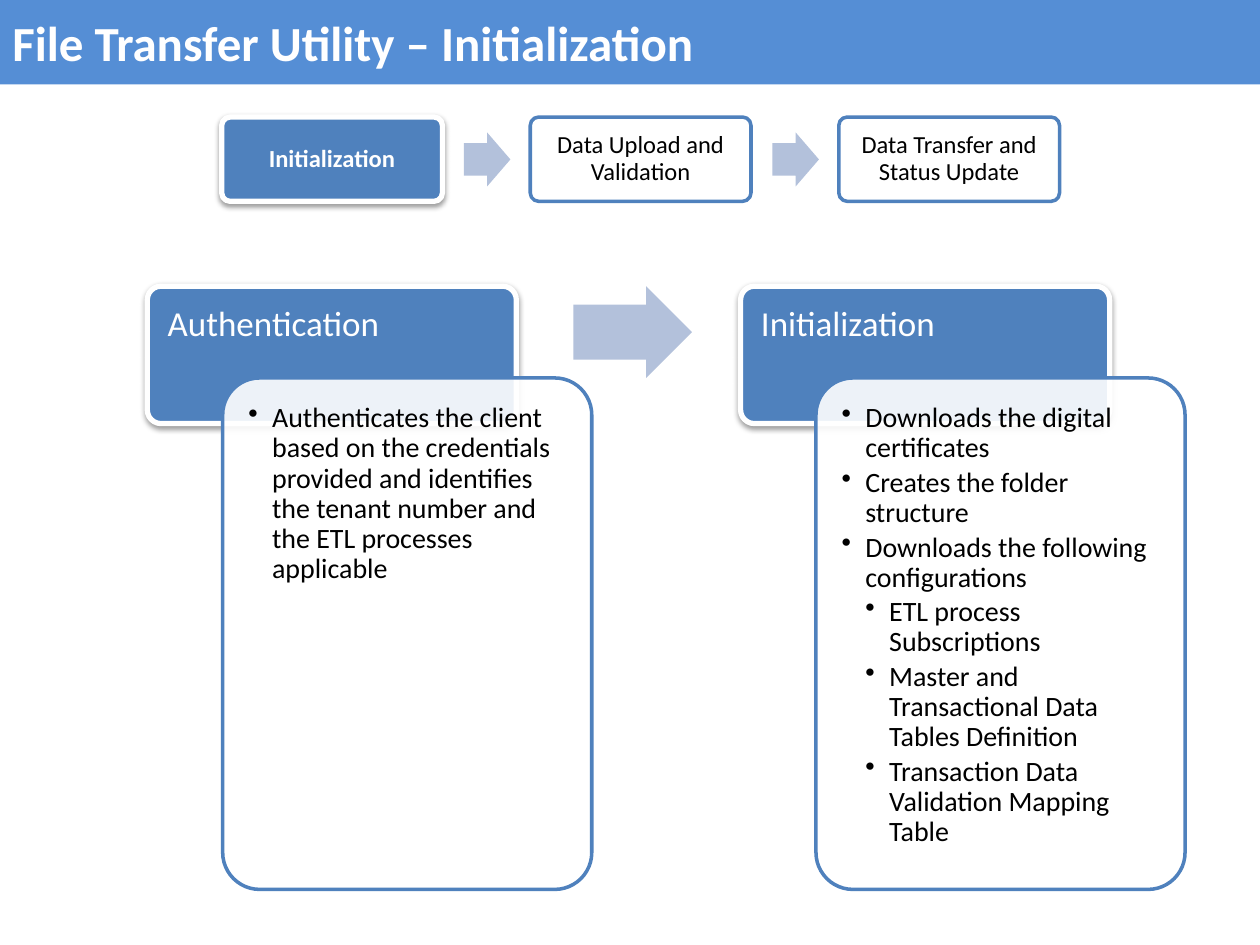
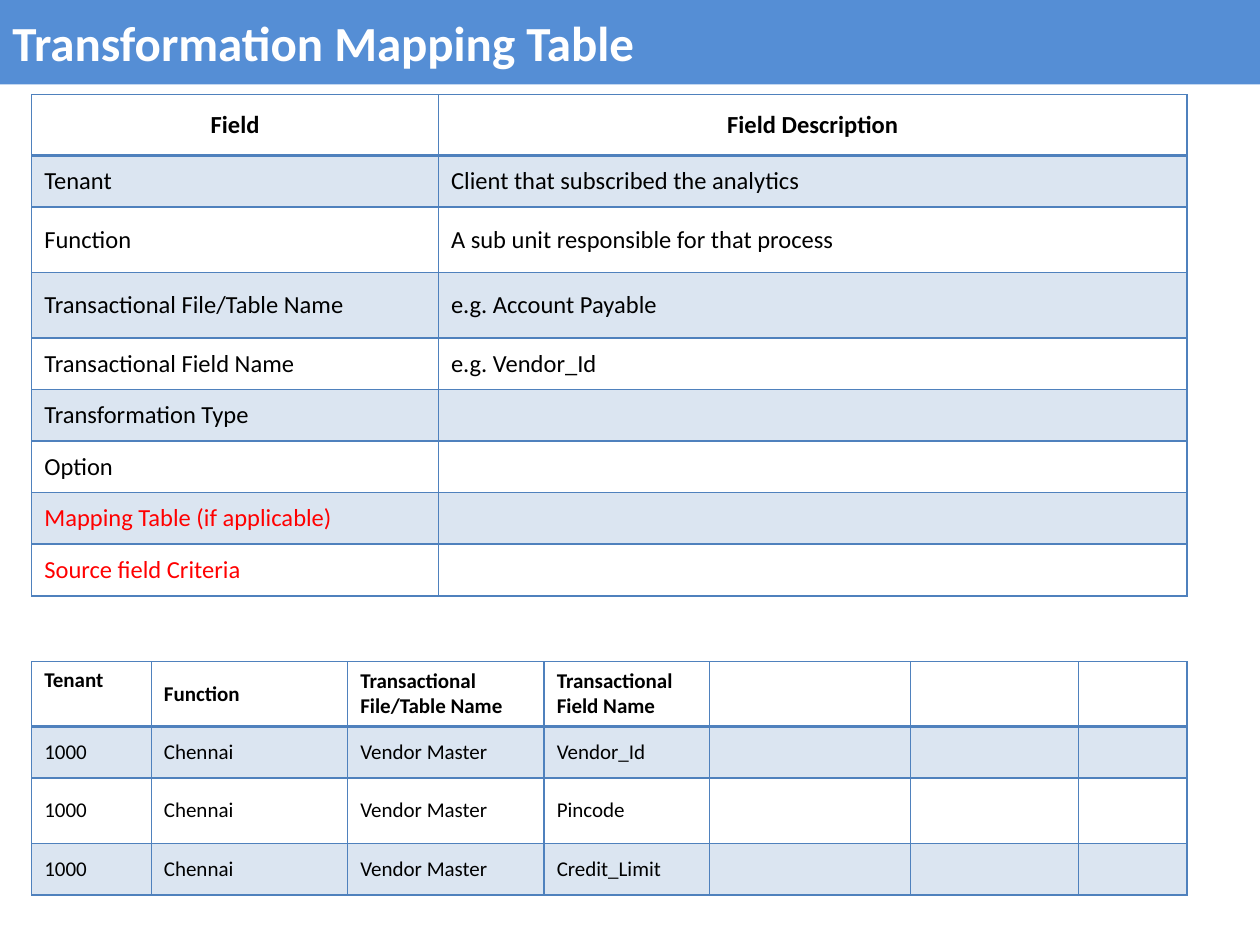
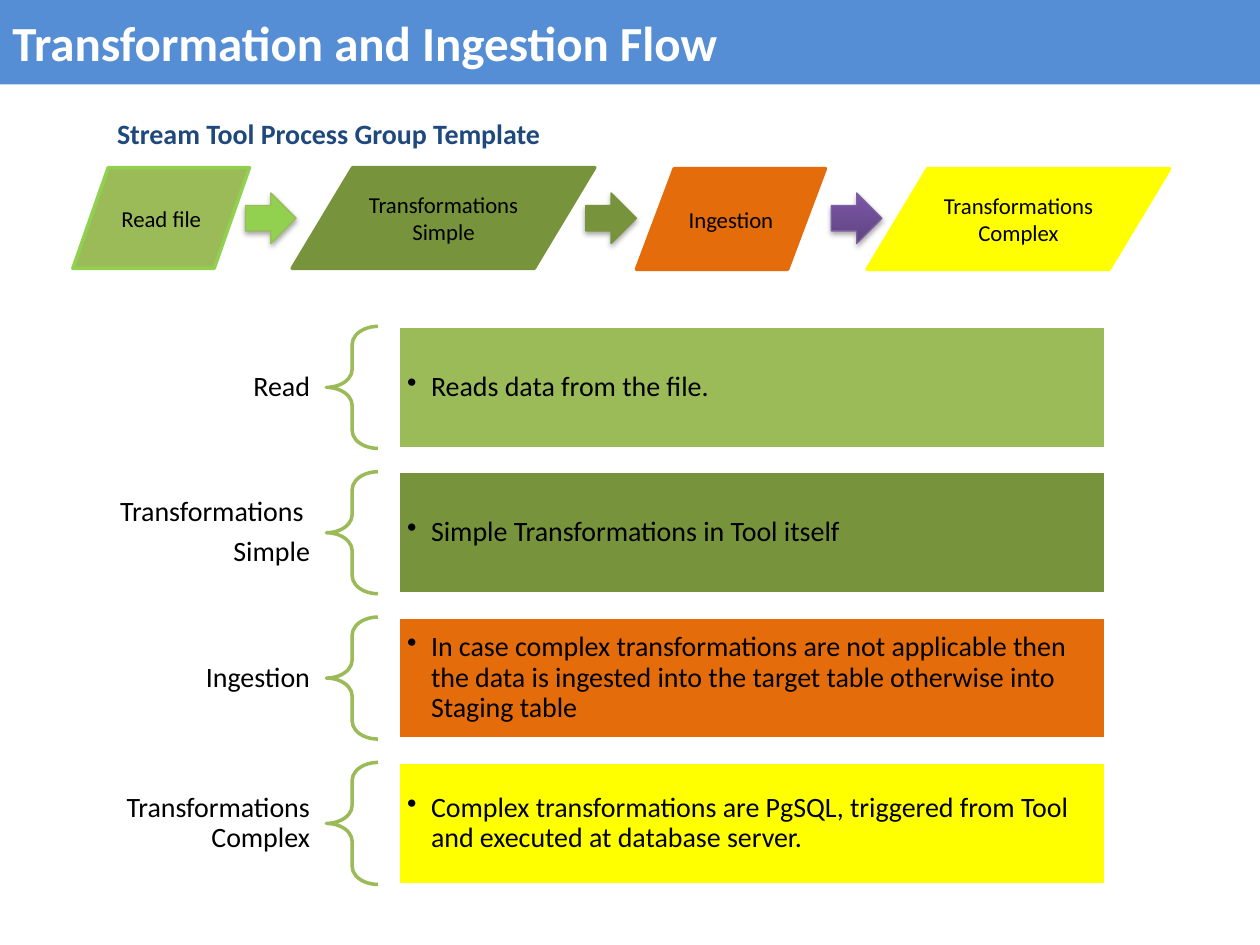
import dataclasses

import lxml.etree
import pptx
import pptx.dml.color
import pptx.enum.shapes
import pptx.enum.text
import pptx.oxml.ns
import pptx.util

Cm = pptx.util.Cm
Pt = pptx.util.Pt
qn = pptx.oxml.ns.qn
Preset = pptx.enum.shapes.MSO_SHAPE
Align = pptx.enum.text.PP_ALIGN
Anchor = pptx.enum.text.MSO_ANCHOR
AutoSize = pptx.enum.text.MSO_AUTO_SIZE

# Shared look
FONT = "Calibri"
COLORS = {
    "band": "558ED5",
    "blue": "4F81BD",
    "pale": "B3C1DB",
    "navy": "1F497D",
    "white": "FFFFFF",
    "black": "000000",
    "red": "FF0000",
    "green": "9BBB59",
    "lime": "92D050",
    "olive": "77933C",
    "orange": "E46C0A",
    "yellow": "FFFF00",
    "purple": "7D60A0",
    "purple dark": "5F4480",
    "purple light": "7C57A8",
}


@dataclasses.dataclass(frozen=True)
class Box:
    """Left, top, width and height in centimetres."""
    left: float
    top: float
    width: float
    height: float

    def lengths(self) -> tuple:
        return tuple(Cm(value) for value in dataclasses.astuple(self))


@dataclasses.dataclass(frozen=True)
class TextStyle:
    size: float
    color: str = "black"
    bold: bool = False
    align: Align = Align.LEFT
    anchor: Anchor = Anchor.MIDDLE
    inset_x: float = 0.25
    inset_y: float = 0.13
    line_spacing: float = 1.0
    space_after: float = 0


@dataclasses.dataclass(frozen=True)
class Line:
    text: str
    level: int = 0  # levels above 0 are bulleted


@dataclasses.dataclass(frozen=True)
class Card:
    heading: str
    points: tuple


@dataclasses.dataclass(frozen=True)
class FlowStep:
    lines: tuple
    left: float
    top: float
    width: float
    fill: str
    outline: str


@dataclasses.dataclass(frozen=True)
class FlowArrow:
    left: float
    fill: str
    outline: str


@dataclasses.dataclass(frozen=True)
class Stage:
    label: tuple
    detail: str
    fill: str


@dataclasses.dataclass(frozen=True)
class Grid:
    box: Box
    widths: tuple
    heights: tuple
    rows: tuple
    body: TextStyle
    header: TextStyle


TITLE = TextStyle(28, "white", bold=True)
CARD_HEADING = TextStyle(20, "white", anchor=Anchor.TOP, inset_x=0.33,
                         inset_y=0.33, line_spacing=0.9)
CARD_BODY = TextStyle(16, anchor=Anchor.TOP, inset_x=0.3, inset_y=0.3,
                      line_spacing=0.9, space_after=2.4)
STEP = TextStyle(14, align=Align.CENTER, inset_x=0.15, inset_y=0.15,
                 line_spacing=0.9)
CURRENT_STEP = dataclasses.replace(STEP, color="white", bold=True)
FLOW = TextStyle(13, align=Align.CENTER, inset_x=0)
CAPTION = TextStyle(16, "navy", bold=True, anchor=Anchor.TOP)
LABEL = TextStyle(16, align=Align.RIGHT, inset_x=0.3, inset_y=0.1,
                  line_spacing=0.9, space_after=5.6)
DETAIL = TextStyle(16, inset_x=0.18, inset_y=0.18, line_spacing=0.9,
                   space_after=2.4)


# Drawing helpers
def rgb(name: str) -> pptx.dml.color.RGBColor:
    return pptx.dml.color.RGBColor.from_string(COLORS[name])


def add_node(parent, tag: str, **attributes):
    return lxml.etree.SubElement(
        parent, qn(tag), {key: str(value) for key, value in attributes.items()})


def set_alpha(properties, percent: int) -> None:
    color = properties.find(qn("a:solidFill")).find(qn("a:srgbClr"))
    add_node(color, "a:alpha", val=percent * 1000)


def write_text(frame, lines: tuple, style: TextStyle) -> None:
    frame.word_wrap = True
    frame.auto_size = AutoSize.NONE
    frame.vertical_anchor = style.anchor
    frame.margin_left = frame.margin_right = Cm(style.inset_x)
    frame.margin_top = frame.margin_bottom = Cm(style.inset_y)
    for index, line in enumerate(lines):
        para = frame.add_paragraph() if index else frame.paragraphs[0]
        para.alignment = style.align
        para.line_spacing = style.line_spacing
        para.space_before = Pt(0)
        para.space_after = Pt(style.space_after)
        if line.level:
            para.level = line.level
            properties = para._p.get_or_add_pPr()
            properties.set("marL", str(Cm(0.48 * line.level)))
            properties.set("indent", str(-Cm(0.48)))
            add_node(properties, "a:buChar", char="•")
        span = para.add_run()
        span.text = line.text
        span.font.name = FONT
        span.font.size = Pt(style.size)
        span.font.bold = style.bold
        span.font.color.rgb = rgb(style.color)


def draw_shape(page, preset: Preset, box: Box, fill: str = "",
               outline: str = "", weight: float = 2, adjust: tuple = ()):
    shape = page.shapes.add_shape(preset, *box.lengths())
    shape.shadow.inherit = False
    for index, value in enumerate(adjust):
        shape.adjustments[index] = value
    if fill:
        shape.fill.solid()
        shape.fill.fore_color.rgb = rgb(fill)
    else:
        shape.fill.background()
    if outline:
        shape.line.color.rgb = rgb(outline)
        shape.line.width = Pt(weight)
    else:
        shape.line.fill.background()
    return shape


def add_shadow(shape, distance: float, opacity: int) -> None:
    effects = shape.element.spPr.find(qn("a:effectLst"))
    shadow = add_node(effects, "a:outerShdw", blurRad=Pt(3.1),
                      dist=Pt(distance), dir=90 * 60000, rotWithShape=0)
    color = add_node(shadow, "a:srgbClr", val=COLORS["black"])
    add_node(color, "a:alpha", val=opacity * 1000)


def draw_rounded(page, box: Box, raised: bool):
    fill, outline, weight = ("blue", "white", 3) if raised else ("white", "blue", 2)
    shape = draw_shape(page, Preset.ROUNDED_RECTANGLE, box, fill, outline,
                       weight, (0.1,))
    if raised:
        add_shadow(shape, 1.6, 38)
    return shape


def draw_pale_arrow(page, box: Box) -> None:
    draw_shape(page, Preset.RIGHT_ARROW, box, "pale", adjust=(0.6, 0.5))


def add_page(deck, title: str):
    page = deck.slides.add_slide(deck.slide_layouts[5])
    band = page.shapes.title
    band.left, band.top, band.width, band.height = Box(0, 0, 25.4, 1.7).lengths()
    band.fill.solid()
    band.fill.fore_color.rgb = rgb("band")
    write_text(band.text_frame, (Line(title),), TITLE)
    return page


def set_borders(cell, weights: dict) -> None:
    properties = cell._tc.get_or_add_tcPr()
    for side in ("L", "R", "T", "B"):
        border = add_node(properties, f"a:ln{side}", w=Pt(weights.get(side, 1)))
        fill = add_node(border, "a:solidFill")
        add_node(fill, "a:srgbClr", val=COLORS["blue"])


def draw_grid(page, grid: Grid, red_rows: tuple = ()):
    table = page.shapes.add_table(len(grid.heights), len(grid.widths),
                                  *grid.box.lengths()).table
    table.first_row = table.horz_banding = False
    for column, width in zip(table.columns, grid.widths):
        column.width = Cm(width)
    for index, (row, height) in enumerate(zip(table.rows, grid.heights)):
        row.height = Cm(height)
        style = grid.body if index else grid.header
        if index in red_rows:
            style = dataclasses.replace(style, color="red")
        for position, cell in enumerate(row.cells):
            set_borders(cell, {0: {"B": 2}, 1: {"T": 2}}.get(index, {}))
            if index % 2:
                cell.fill.solid()
                cell.fill.fore_color.rgb = rgb("blue")
                set_alpha(cell._tc.get_or_add_tcPr(), 20)
            else:
                cell.fill.background()
            cell.vertical_anchor = style.anchor
            if position < len(grid.rows[index]):
                write_cell(cell, grid.rows[index][position], style)
    return table


def write_cell(cell, text: str, style: TextStyle) -> None:
    para = cell.text_frame.paragraphs[0]
    para.alignment = style.align
    span = para.add_run()
    span.text = text
    span.font.name = FONT
    span.font.size = Pt(style.size)
    span.font.bold = style.bold
    span.font.color.rgb = rgb(style.color)


# Slide 1: initialization
STEPS = ("Initialization", "Data Upload and Validation",
         "Data Transfer and Status Update")
CARDS = (
    Card("Authentication", (
        Line("Authenticates the client based on the credentials provided and "
             "identifies the tenant number and the ETL processes applicable", 1),
    )),
    Card("Initialization", (
        Line("Downloads the digital certificates", 1),
        Line("Creates the folder structure", 1),
        Line("Downloads the following configurations", 1),
        Line("ETL process Subscriptions", 2),
        Line("Master and Transactional Data Tables Definition", 2),
        Line("Transaction Data Validation Mapping Table", 2),
    )),
)


def build_initialization(deck) -> None:
    page = add_page(deck, "File Transfer Utility – Initialization")
    for index, card in enumerate(CARDS):
        left = 2.97 + 11.96 * index
        if index:
            draw_pale_arrow(page, Box(11.56, 5.77, 2.39, 1.85))
        heading = draw_rounded(page, Box(left, 5.77, 7.44, 2.77), True)
        write_text(heading.text_frame, (Line(card.heading),), CARD_HEADING)
        panel = draw_rounded(page, Box(left + 1.52, 7.62, 7.44, 10.31), False)
        set_alpha(panel.element.spPr, 90)
        write_text(panel.text_frame, card.points, CARD_BODY)
    for index, step in enumerate(STEPS):
        left = 4.47 + 6.22 * index
        if index:
            draw_pale_arrow(page, Box(left - 1.34, 2.67, 0.94, 1.09))
        current = index == 0
        shape = draw_rounded(page, Box(left, 2.36, 4.45, 1.7), current)
        write_text(shape.text_frame, (Line(step),),
                   CURRENT_STEP if current else STEP)


# Slide 2: mapping table
FIELDS = Grid(
    Box(0.64, 1.91, 23.29, 10.13), (8.2, 15.09),
    (1.22, 1.04, 1.32, 1.32, 1.04, 1.04, 1.04, 1.04, 1.04),
    (
        ("Field", "Field Description"),
        ("Tenant", "Client that subscribed the analytics"),
        ("Function", "A sub unit responsible for that process"),
        ("Transactional File/Table Name", "e.g. Account Payable"),
        ("Transactional Field Name", "e.g. Vendor_Id"),
        ("Transformation Type",),
        ("Option",),
        ("Mapping Table (if applicable)",),
        ("Source field Criteria",),
    ),
    TextStyle(14), TextStyle(14, bold=True, align=Align.CENTER),
)
SAMPLES = Grid(
    Box(0.64, 13.34, 23.29, 4.7), (2.41, 3.96, 3.96, 3.33, 4.06, 3.38, 2.19),
    (1.3, 1.04, 1.32, 1.04),
    (
        ("Tenant", "Function", "Transactional File/Table Name",
         "Transactional Field Name"),
        ("1000", "Chennai", "Vendor Master", "Vendor_Id"),
        ("1000", "Chennai", "Vendor Master", "Pincode"),
        ("1000", "Chennai", "Vendor Master", "Credit_Limit"),
    ),
    TextStyle(12), TextStyle(12, bold=True),
)


def build_mapping(deck) -> None:
    page = add_page(deck, "Transformation Mapping Table")
    draw_grid(page, FIELDS, red_rows=(7, 8))
    samples = draw_grid(page, SAMPLES)
    samples.cell(0, 0).vertical_anchor = Anchor.TOP


# Slide 3: transformation and ingestion flow
FLOW_STEPS = (
    FlowStep((Line("Read file"),), 1.47, 3.38, 3.56, "green", "lime"),
    FlowStep((Line("Transformations"), Line("Simple")), 5.89, 3.38, 6.1,
             "olive", "olive"),
    FlowStep((Line("Ingestion"),), 12.83, 3.4, 3.81, "orange", "orange"),
    FlowStep((Line("Transformations"), Line("Complex")), 17.48, 3.4, 6.1,
             "yellow", "yellow"),
)
FLOW_ARROWS = (
    FlowArrow(4.95, "lime", "green"),
    FlowArrow(11.81, "olive", "olive"),
    FlowArrow(16.76, "purple", "purple"),
)
STAGES = (
    Stage((Line("Read"),), "Reads data from the file.", "green"),
    Stage((Line("Transformations "), Line("Simple")),
          "Simple Transformations in Tool itself", "olive"),
    Stage((Line("Ingestion"),),
          "In case complex transformations are not applicable then the data is "
          "ingested into the target table otherwise into Staging table", "orange"),
    Stage((Line("Transformations Complex"),),
          "Complex transformations are PgSQL, triggered from Tool and executed "
          "at database server.", "yellow"),
)


def draw_flow_arrow(page, arrow: FlowArrow) -> None:
    shape = draw_shape(page, Preset.RIGHT_ARROW, Box(arrow.left, 3.89, 1.02, 1.02),
                       arrow.fill, arrow.outline, 0.75)
    add_shadow(shape, 1.8, 35)
    if arrow.fill == "purple":
        shape.fill.gradient()
        shape.fill.gradient_angle = 90
        for stop, name in zip(shape.fill.gradient_stops,
                              ("purple dark", "purple light")):
            stop.color.rgb = rgb(name)


def build_flow(deck) -> None:
    page = add_page(deck, "Transformation and Ingestion Flow")
    for index, step in enumerate(FLOW_STEPS):
        if index:
            draw_flow_arrow(page, FLOW_ARROWS[index - 1])
        shape = draw_shape(page, Preset.FLOWCHART_DATA,
                           Box(step.left, step.top, step.width, 2.03),
                           step.fill, step.outline)
        write_text(shape.text_frame, step.lines, FLOW)

    caption = page.shapes.add_textbox(*Box(2.11, 2.21, 9.14, 0.94).lengths())
    write_text(caption.text_frame,
               (Line("Stream Tool Process Group Template"),), CAPTION)
    caption.text_frame.word_wrap = False
    caption.text_frame.auto_size = AutoSize.SHAPE_TO_FIT_TEXT

    for index, stage in enumerate(STAGES):
        top = 6.58 + 2.93 * index
        label = page.shapes.add_textbox(*Box(1.32, top, 5.23, 2.46).lengths())
        write_text(label.text_frame, stage.label, LABEL)
        draw_shape(page, Preset.LEFT_BRACE, Box(6.58, top, 1.04, 2.46),
                   outline="green", adjust=(0.35, 0.5))
        bar = draw_shape(page, Preset.RECTANGLE, Box(8.03, top, 14.27, 2.46),
                         stage.fill, "white")
        write_text(bar.text_frame, (Line(stage.detail, 1),), DETAIL)


def main() -> None:
    deck = pptx.Presentation()
    deck.slide_width, deck.slide_height = Cm(25.4), Cm(19.05)
    build_initialization(deck)
    build_mapping(deck)
    build_flow(deck)
    deck.save("out.pptx")


if __name__ == "__main__":
    main()
